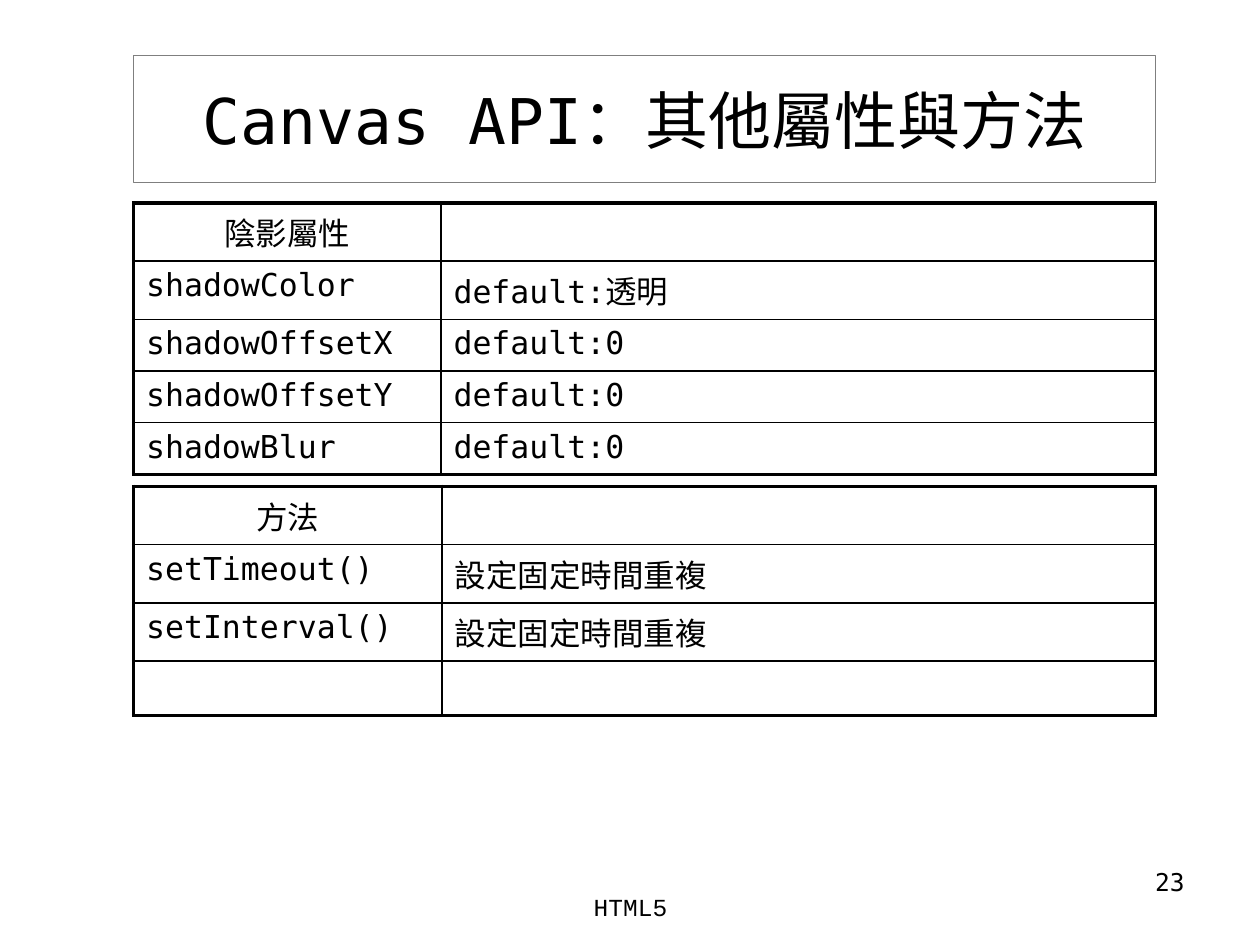
import dataclasses

import lxml.etree
import pptx
import pptx.dml.color
import pptx.enum.text
import pptx.oxml.ns
import pptx.util

Inches = pptx.util.Inches
Pt = pptx.util.Pt
RGB = pptx.dml.color.RGBColor.from_string
Align = pptx.enum.text.PP_ALIGN
Anchor = pptx.enum.text.MSO_ANCHOR


@dataclasses.dataclass(frozen=True)
class Theme:
    ink: str = "000000"
    title_line: str = "7F7F7F"
    mono: str = "DejaVu Sans Mono"
    footer_font: str = "Courier New"
    title_size: float = 36
    body_size: float = 18
    footer_size: float = 14
    outer_line: float = 2.25
    inner_line: float = 1


THEME = Theme()

SHADOW_PROPERTIES = [
    ("陰影屬性", ""),
    ("shadowColor", "default:透明"),
    ("shadowOffsetX", "default:0"),
    ("shadowOffsetY", "default:0"),
    ("shadowBlur", "default:0"),
]
METHODS = [
    ("方法", ""),
    ("setTimeout()", "設定固定時間重複"),
    ("setInterval()", "設定固定時間重複"),
    ("", ""),
]


def write_text(frame, words, size, align, font_name=THEME.mono):
    """Put one formatted line into a text frame."""
    margins = {
        "margin_left": Inches(0.1), "margin_right": Inches(0.1),
        "margin_top": Inches(0.05), "margin_bottom": Inches(0.05),
        "word_wrap": True,
    }
    for name, value in margins.items():
        setattr(frame, name, value)
    paragraph = frame.paragraphs[0]
    paragraph.alignment = align
    if words:
        run = paragraph.add_run()
        run.text = words
        for name, value in {"name": font_name, "size": Pt(size), "bold": False}.items():
            setattr(run.font, name, value)
        run.font.color.rgb = RGB(THEME.ink)


def set_borders(cell, widths):
    """Draw the cell sides; widths are in left, right, top, bottom order."""
    properties = cell._tc.get_or_add_tcPr()
    qn = pptx.oxml.ns.qn
    for index, (side, width) in enumerate(zip("LRTB", widths)):
        line = lxml.etree.Element(qn(f"a:ln{side}"), w=str(Pt(width)))
        fill = lxml.etree.SubElement(line, qn("a:solidFill"))
        lxml.etree.SubElement(fill, qn("a:srgbClr"), val=THEME.ink)
        properties.insert(index, line)


def add_title(slide, box, words):
    title = slide.shapes.title
    for name, value in zip(("left", "top", "width", "height"), box):
        setattr(title, name, Inches(value))
    title.line.color.rgb = RGB(THEME.title_line)
    title.line.width = Pt(0.75)
    frame = title.text_frame
    frame.auto_size = pptx.enum.text.MSO_AUTO_SIZE.NONE
    frame.vertical_anchor = Anchor.MIDDLE
    write_text(frame, words, THEME.title_size, Align.CENTER)


def add_reference_table(slide, box, entries, name_width, row_height):
    """A two-column table with a centred heading and a heavy outline."""
    left, top, width = box
    table = slide.shapes.add_table(
        len(entries), 2, Inches(left), Inches(top),
        Inches(width), Inches(row_height * len(entries))).table
    table.first_row = table.horz_banding = False
    for column, column_width in zip(table.columns, (name_width, width - name_width)):
        column.width = Inches(column_width)

    last_row = len(entries) - 1
    for r, entry in enumerate(entries):
        table.rows[r].height = Inches(row_height)
        for c, words in enumerate(entry):
            cell = table.cell(r, c)
            cell.fill.background()
            on_outline = (c == 0, c == 1, r == 0, r == last_row)
            set_borders(cell, [THEME.outer_line if outer else THEME.inner_line
                               for outer in on_outline])
            align = Align.CENTER if r == 0 else Align.LEFT
            write_text(cell.text_frame, words, THEME.body_size, align)


def add_footer_text(slide, box, words, align, font_name):
    footer = slide.shapes.add_textbox(*map(Inches, box))
    write_text(footer.text_frame, words, THEME.footer_size, align, font_name)


def main():
    deck = pptx.Presentation()
    deck.slide_width, deck.slide_height = Inches(10), Inches(7.5)
    slide = deck.slides.add_slide(deck.slide_layouts[5])
    left, width = 1.06, 8.11

    # Heading
    add_title(slide, (left, 0.44, width, 1.01), "Canvas API：其他屬性與方法")

    # Reference tables
    add_reference_table(slide, (left, 1.61, width), SHADOW_PROPERTIES, 2.44, 0.41)
    add_reference_table(slide, (left, 3.86, width), METHODS, 2.45, 0.43)

    # Page number and course name
    add_footer_text(slide, (7.17, 6.83, 2.33, 0.52), "23", Align.RIGHT, THEME.mono)
    add_footer_text(slide, (3.42, 7.03, 3.17, 0.5), "HTML5", Align.CENTER,
                    THEME.footer_font)

    deck.save("out.pptx")


if __name__ == "__main__":
    main()
